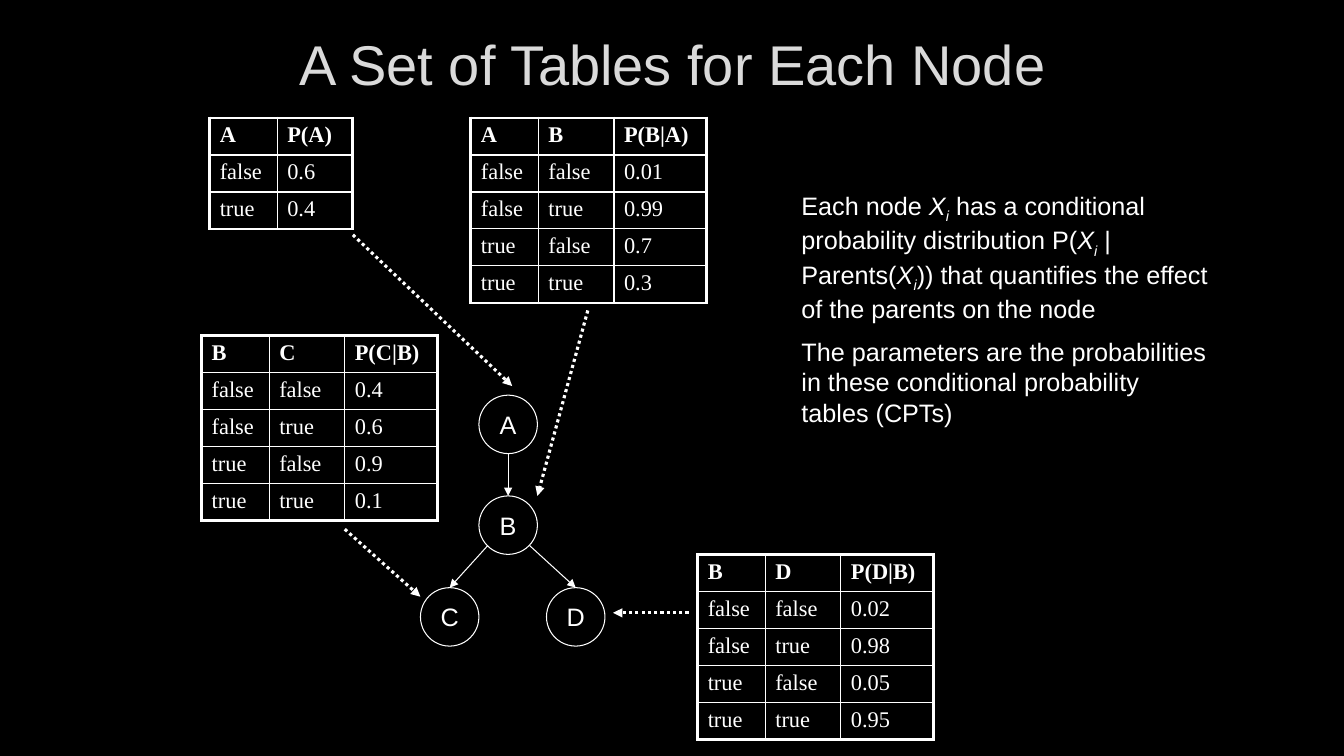
"""Builds the slide of conditional probability tables around a small Bayesian network."""
from dataclasses import dataclass
from typing import Optional

from lxml.etree import SubElement
from pptx import Presentation
from pptx.dml.color import RGBColor
from pptx.enum.dml import MSO_LINE
from pptx.enum.shapes import MSO_CONNECTOR, MSO_SHAPE
from pptx.enum.text import MSO_ANCHOR, PP_ALIGN
from pptx.oxml.ns import qn
from pptx.shapes.autoshape import Shape
from pptx.slide import Slide
from pptx.table import _Cell
from pptx.text.text import Font
from pptx.util import Inches, Pt

COLORS = {"background": "000000", "title": "DADADA", "ink": "FFFFFF"}
NODE_SIZE = 0.58
COLUMN_WIDTHS = (0.67, 0.75, 0.92)
ROW_HEIGHT = 1.83 / 5
OUTER_BORDER, INNER_BORDER = 2.25, 1


@dataclass
class ProbabilityTable:
    left: float
    top: float
    rows: list[tuple[str, ...]]


@dataclass
class Node:
    label: str
    left: float
    top: float


@dataclass
class Arrow:
    start: tuple[float, float]
    end: tuple[float, float]
    target: Optional[str] = None


def conditional(left: float, top: float, parent: str, child: str,
                values: tuple[str, ...]) -> ProbabilityTable:
    states = [(p, c) for p in ("false", "true") for c in ("false", "true")]
    header = (parent, child, f"P({child}|{parent})")
    return ProbabilityTable(left, top, [header] + [(*s, v) for s, v in zip(states, values)])


TABLES = [
    ProbabilityTable(2.08, 1.17, [("A", "P(A)"), ("false", "0.6"), ("true", "0.4")]),
    conditional(4.67, 1.17, "A", "B", ("0.01", "0.99", "0.7", "0.3")),
    conditional(2, 3.33, "B", "C", ("0.4", "0.6", "0.9", "0.1")),
    conditional(6.92, 5.5, "B", "D", ("0.02", "0.98", "0.05", "0.95")),
]
NODES = [Node("A", 4.75, 3.92), Node("B", 4.75, 4.92),
         Node("C", 4.17, 5.83), Node("D", 5.42, 5.83)]
EDGES = [
    Arrow((5.04, 4.5), (5.04, 4.92), "B"),
    Arrow((4.84, 5.41), (4.46, 5.83), "C"),
    Arrow((5.25, 5.41), (5.71, 5.83), "D"),
]
TABLE_POINTERS = [
    Arrow((3.5, 2.33), (5.08, 3.83)),
    Arrow((5.83, 3.08), (5.33, 4.92)),
    Arrow((6.83, 6.08), (6.08, 6.08)),
    Arrow((3.42, 5.25), (4.17, 5.92)),
]
EXPLANATION = [
    ("Each node ", " has a conditional probability distribution P(", " | Parents(",
     ")) that quantifies the effect of the parents on the node"),
    ("The parameters are the probabilities in these conditional probability tables (CPTs)",),
]


def rgb(name: str) -> RGBColor:
    return RGBColor.from_string(COLORS[name])


def style(font: Font, size: float, color: str = "ink", face: str = "Arial",
          bold: bool = False) -> None:
    font.size, font.name, font.bold = Pt(size), face, bold
    font.color.rgb = rgb(color)


def add_title(slide: Slide) -> None:
    frame = slide.shapes.add_textbox(
        Inches(2.42), Inches(0.17), Inches(8.5), Inches(0.92)).text_frame
    frame.word_wrap = True
    frame.vertical_anchor = MSO_ANCHOR.MIDDLE
    heading = frame.paragraphs[0]
    heading.text = "A Set of Tables for Each Node"
    heading.alignment = PP_ALIGN.CENTER
    style(heading.font, 40, "title")


def add_explanation(slide: Slide) -> None:
    frame = slide.shapes.add_textbox(
        Inches(7.85), Inches(1.84), Inches(4.25), Inches(2.37)).text_frame
    frame.word_wrap = True
    for index, pieces in enumerate(EXPLANATION):
        paragraph = frame.add_paragraph() if index else frame.paragraphs[0]
        if index:
            paragraph.space_before = Pt(9)
        style(paragraph.font, 18)
        for position, piece in enumerate(pieces):
            if position:
                for symbol, baseline in (("X", "0"), ("i", "-25000")):
                    variable = paragraph.add_run()
                    variable.text = symbol
                    variable.font.italic = True
                    variable.font._element.set("baseline", baseline)
            paragraph.add_run().text = piece


def add_border(cell: _Cell, side: str, width: float) -> None:
    border = SubElement(cell._tc.get_or_add_tcPr(), qn(f"a:ln{side}"), w=str(Pt(width)))
    SubElement(SubElement(border, qn("a:solidFill")), qn("a:srgbClr"), val=COLORS["ink"])


def add_probability_table(slide: Slide, item: ProbabilityTable) -> None:
    row_count, column_count = len(item.rows), len(item.rows[0])
    widths = COLUMN_WIDTHS[:column_count]
    table = slide.shapes.add_table(
        row_count, column_count, Inches(item.left), Inches(item.top),
        Inches(sum(widths)), Inches(ROW_HEIGHT * row_count)).table
    table.first_row = table.horz_banding = False
    for column, width in zip(table.columns, widths):
        column.width = Inches(width)
    for r, values in enumerate(item.rows):
        table.rows[r].height = Inches(ROW_HEIGHT)
        for c, value in enumerate(values):
            cell = table.cell(r, c)
            outer_sides = {"L": c == 0, "R": c == column_count - 1,
                           "T": r == 0, "B": r == row_count - 1}
            for side, is_outer in outer_sides.items():
                add_border(cell, side, OUTER_BORDER if is_outer else INNER_BORDER)
            cell.fill.background()
            entry = cell.text_frame.paragraphs[0]
            entry.text = value
            style(entry.font, 16, face="Times New Roman", bold=r == 0)


def add_node(slide: Slide, node: Node) -> Shape:
    circle = slide.shapes.add_shape(
        MSO_SHAPE.OVAL, Inches(node.left), Inches(node.top),
        Inches(NODE_SIZE), Inches(NODE_SIZE))
    circle.shadow.inherit = False
    circle.fill.solid()
    circle.fill.fore_color.rgb = rgb("background")
    circle.line.color.rgb = rgb("ink")
    circle.line.width = Pt(0.75)
    circle.text_frame.word_wrap = False
    circle.text_frame.vertical_anchor = MSO_ANCHOR.MIDDLE
    label = circle.text_frame.paragraphs[0]
    label.text = node.label
    label.alignment = PP_ALIGN.CENTER
    style(label.font, 18)
    return circle


def add_arrow(slide: Slide, arrow: Arrow, circles: dict[str, Shape], dotted: bool) -> None:
    connector = slide.shapes.add_connector(
        MSO_CONNECTOR.STRAIGHT, *map(Inches, arrow.start + arrow.end))
    if arrow.target:
        connector.end_connect(circles[arrow.target], 0)
    connector.line.color.rgb = rgb("ink")
    connector.line.width = Pt(2.25 if dotted else 0.75)
    if dotted:
        connector.line.dash_style = MSO_LINE.ROUND_DOT
    SubElement(connector.line._get_or_add_ln(), qn("a:tailEnd"), type="triangle")
    SubElement(connector._element.spPr, qn("a:effectLst"))


def main() -> None:
    deck = Presentation()
    deck.slide_width, deck.slide_height = Inches(13.33), Inches(7.5)
    slide = deck.slides.add_slide(deck.slide_layouts[6])
    slide.background.fill.solid()
    slide.background.fill.fore_color.rgb = rgb("background")
    add_title(slide)
    add_explanation(slide)
    for item in TABLES:
        add_probability_table(slide, item)
    circles = {node.label: add_node(slide, node) for node in NODES}
    for edge in EDGES:
        add_arrow(slide, edge, circles, dotted=False)
    for pointer in TABLE_POINTERS:
        add_arrow(slide, pointer, circles, dotted=True)
    deck.save("out.pptx")


if __name__ == "__main__":
    main()
